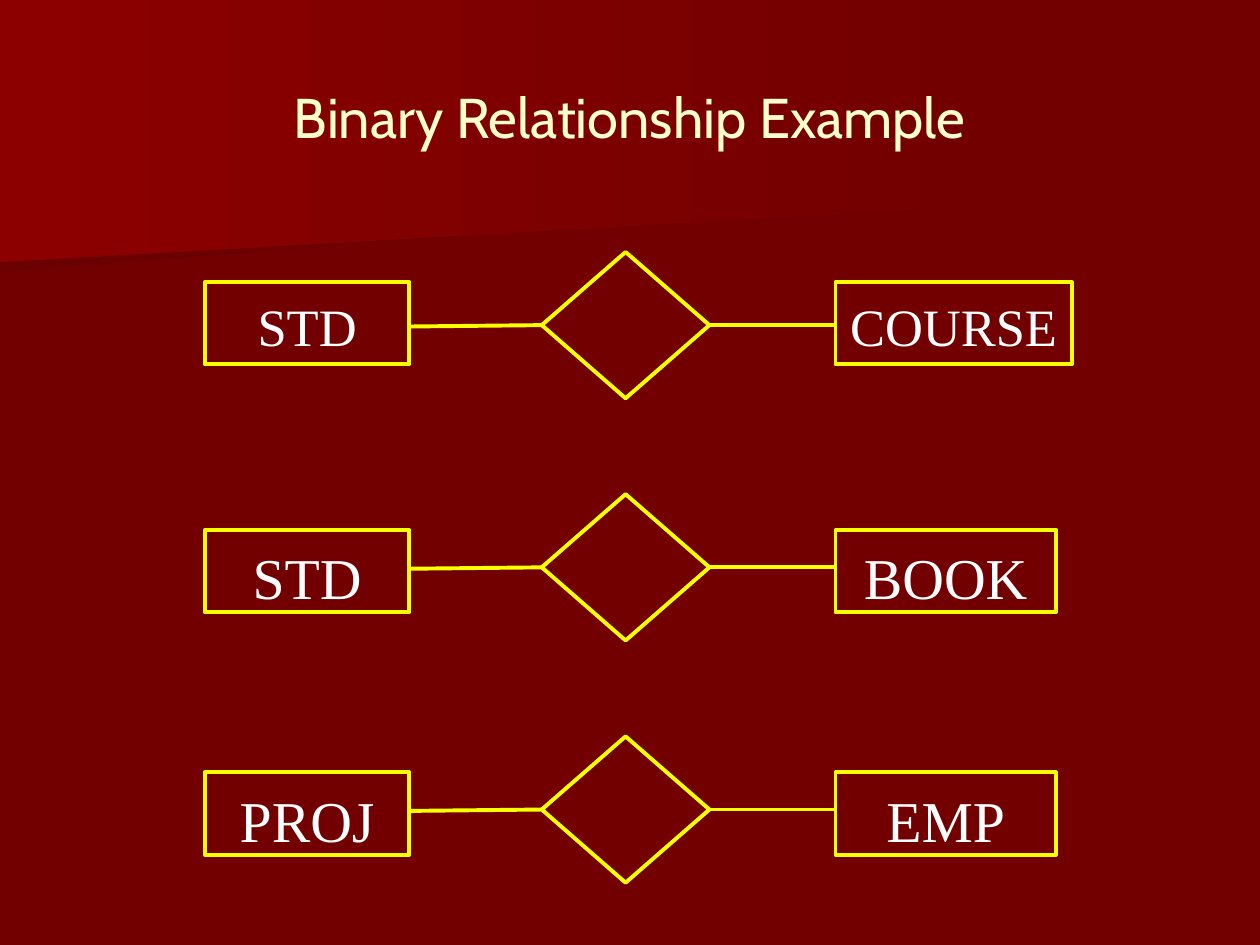
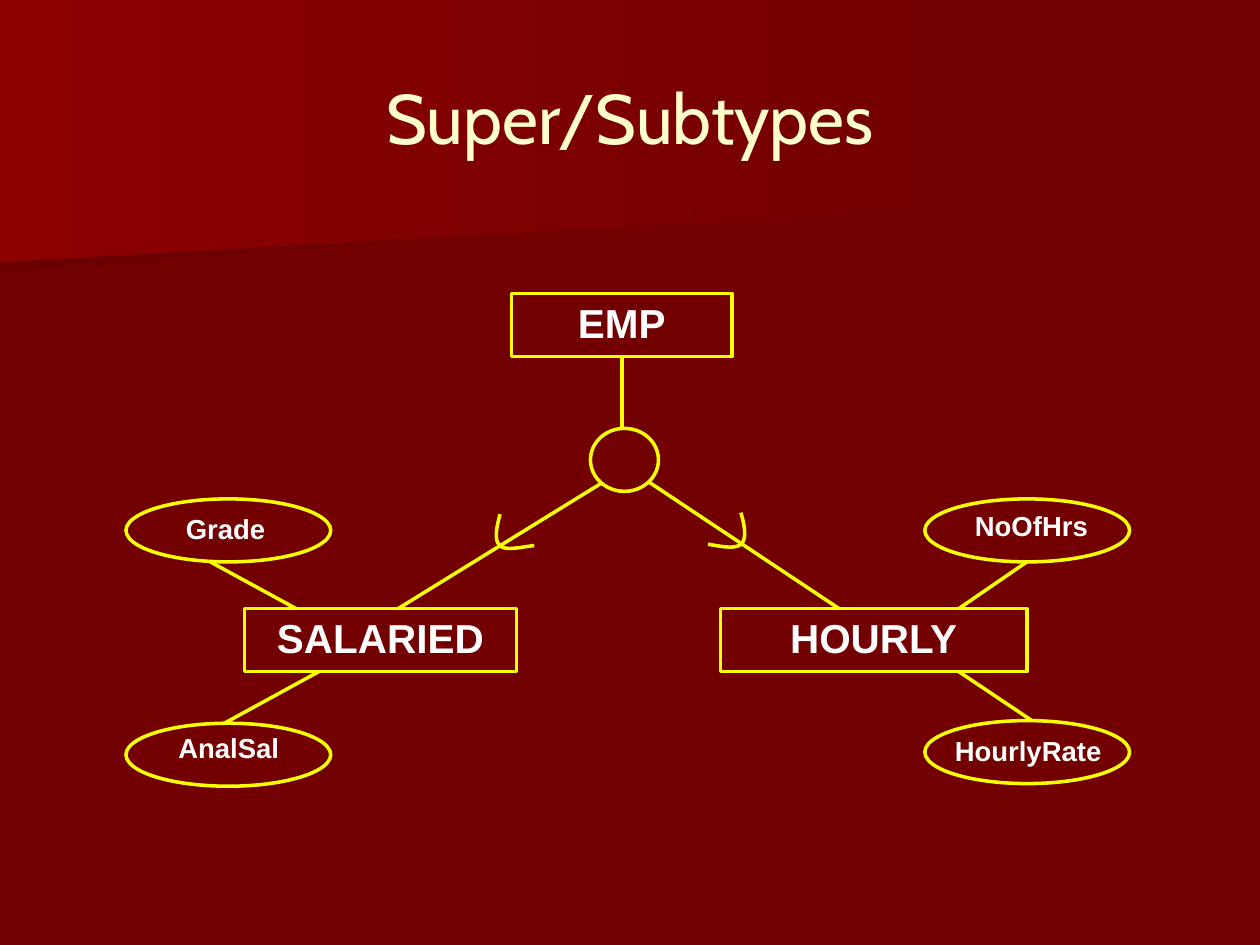
from lxml.etree import SubElement
from pptx import Presentation
from pptx.dml.color import RGBColor
from pptx.enum.shapes import MSO_CONNECTOR as Connector, MSO_SHAPE as Shape
from pptx.enum.text import MSO_ANCHOR as Anchor, PP_ALIGN as Align
from pptx.oxml.ns import qn
from pptx.util import Pt

BACKGROUND, YELLOW, WHITE, CREAM = "720000", "FFFF00", "FFFFFF", "FFFFCC"
BANDS = [
    ("6B0000", [(560.2, 110.2), (0, 156.2), (0, 72.7), (560.9, 72.7)]),
    ("8C0000", [(570.2, 116.6), (0, 149.8), (0, 0), (570.2, 0)]),
]
TITLE_BOX = (0, 21.6, 720, 90)

BINARY_TITLE = ("Binary Relationship Example", 32)
RELATIONSHIPS = [
    {"left": "STD", "right": "COURSE", "right_width": 135, "size": 30, "drop": 17.3},
    {"left": "STD", "right": "BOOK", "right_width": 126, "size": 33, "drop": 20.6},
    {"left": "PROJ", "right": "EMP", "right_width": 126, "size": 33, "drop": 20.6},
]
FIRST_ROW, ROW_PITCH = 144, 138.4
DIAMOND_LEFT, DIAMOND_WIDTH, DIAMOND_HEIGHT = 309.6, 95.8, 83.6
LEFT_BOX, LEFT_WIDTH, RIGHT_BOX, BOX_HEIGHT = 117, 117, 477.4, 47

SUBTYPE_TITLE = ("Super/Subtypes", 40)
ENTITIES = [
    ("EMP", 292.3, 167.8, 126),
    ("SALARIED", 139.7, 347.8, 155.5),
    ("HOURLY", 411.8, 347.8, 175),
]
SUBTYPE_CIRCLE = (337.4, 244.8, 38.9, 36)
ATTRIBUTES = [
    ("Grade", (72, 285.1), (90, 290.2, 77.8)),
    ("AnalSal", (72, 413.3), (82.1, 415.4, 97.2)),
    ("HourlyRate", (528.5, 411.8), (529.2, 416.9, 116.6)),
    ("NoOfHrs", (528.5, 285.1), (545.8, 288.7, 87.1)),
]
ENTITY_HEIGHT, ATTRIBUTE_WIDTH, LABEL_HEIGHT = 36, 117, 26.6
SUBTYPE_LINES = [
    (355.5, 203.8, 355.5, 244.8),
    (344.2, 275.8, 227.5, 347.8),
    (370.1, 275, 479.5, 347.8),
    (120.2, 321.1, 169.2, 347.8),
    (128.2, 413.3, 182.2, 383.8),
    (586.8, 321.1, 547.9, 347.8),
    (547.9, 383.8, 589.7, 411.8),
]
HOOKS = [
    [(285.8, 293.8), (283.7, 301.7), (282.2, 308.9), (285.8, 311.8),
     (288.7, 315.4), (301.7, 311.8), (305.3, 311.8)],
    [(423.4, 293), (425.5, 300.2), (427, 308.2), (423.4, 311),
     (420.5, 313.9), (412.6, 312.5), (404.6, 311)],
]
CURVE_STEPS = 10


def color(value):
    return RGBColor.from_string(value)


def points(values):
    return [Pt(value) for value in values]


def write(shape, text, size, name="Arial", bold=False, ink=WHITE, spacing=1.0,
          top=3.6, anchor=Anchor.TOP):
    frame = shape.text_frame
    frame_format = {"word_wrap": False, "vertical_anchor": anchor,
                    "margin_left": Pt(7.2), "margin_right": Pt(7.2),
                    "margin_top": Pt(top), "margin_bottom": Pt(3.6)}
    for key, value in frame_format.items():
        setattr(frame, key, value)
    paragraph = frame.paragraphs[0]
    paragraph.text = text
    paragraph_format = {"alignment": Align.CENTER, "line_spacing": spacing}
    for key, value in paragraph_format.items():
        setattr(paragraph, key, value)
    font_format = {"size": Pt(size), "name": name, "bold": bold}
    for key, value in font_format.items():
        setattr(paragraph.font, key, value)
    paragraph.font.color.rgb = color(ink)


def draw_line(shape, width):
    shape.line.color.rgb = color(YELLOW)
    shape.line.width = Pt(width)


def outline(slide, kind, box, width):
    shape = slide.shapes.add_shape(kind, *points(box))
    shape.shadow.inherit = False
    shape.fill.background()
    draw_line(shape, width)
    return shape


def connect(slide, ends, width):
    connector = slide.shapes.add_connector(Connector.STRAIGHT, *points(ends))
    draw_line(connector, width)
    SubElement(connector._element.spPr, qn("a:effectLst"))


def freeform(slide, vertices, close):
    start, *rest = [points(vertex) for vertex in vertices]
    builder = slide.shapes.build_freeform(*start)
    builder.add_line_segments(rest, close=close)
    shape = builder.convert_to_shape()
    shape.shadow.inherit = False
    return shape


def curve(controls):
    vertices = [controls[0]]
    for first in range(0, len(controls) - 1, 3):
        segment = controls[first:first + 4]
        for step in range(1, CURVE_STEPS + 1):
            t = step / CURVE_STEPS
            weights = ((1 - t) ** 3, 3 * t * (1 - t) ** 2, 3 * t * t * (1 - t), t ** 3)
            vertices.append(tuple(sum(w * p[axis] for w, p in zip(weights, segment))
                                  for axis in (0, 1)))
    return vertices


def add_slide(presentation, title, size):
    slide = presentation.slides.add_slide(presentation.slide_layouts[6])
    for start, vertices in BANDS:
        band = freeform(slide, vertices, True)
        band.line.fill.background()
        band.fill.gradient()
        band.fill.gradient_angle = 0
        for stop, position, shade in zip(band.fill.gradient_stops, (0, 1), (start, BACKGROUND)):
            stop.position = position
            stop.color.rgb = color(shade)
    title_box = slide.shapes.add_textbox(*points(TITLE_BOX))
    write(title_box, title, size, "Cabin", ink=CREAM, anchor=Anchor.MIDDLE)
    return slide


def build_binary(presentation):
    slide = add_slide(presentation, *BINARY_TITLE)
    diamond_right = DIAMOND_LEFT + DIAMOND_WIDTH
    for index, row in enumerate(RELATIONSHIPS):
        top = FIRST_ROW + index * ROW_PITCH
        middle = top + DIAMOND_HEIGHT / 2
        outline(slide, Shape.DIAMOND, (DIAMOND_LEFT, top, DIAMOND_WIDTH, DIAMOND_HEIGHT), 2.25)
        for text, left, width in ((row["left"], LEFT_BOX, LEFT_WIDTH),
                                  (row["right"], RIGHT_BOX, row["right_width"])):
            box = outline(slide, Shape.RECTANGLE,
                          (left, top + row["drop"], width, BOX_HEIGHT), 2.25)
            write(box, text, row["size"], "Times New Roman", top=6.8)
        connect(slide, (LEFT_BOX + LEFT_WIDTH, middle + 0.8, DIAMOND_LEFT, middle), 2.25)
        connect(slide, (diamond_right, middle, RIGHT_BOX, middle), 2.25)


def build_subtypes(presentation):
    slide = add_slide(presentation, *SUBTYPE_TITLE)
    for text, left, top, width in ENTITIES:
        box = outline(slide, Shape.RECTANGLE, (left, top, width, ENTITY_HEIGHT), 2)
        write(box, text, 23.1, bold=True, spacing=0.9, top=5.6)
    outline(slide, Shape.OVAL, SUBTYPE_CIRCLE, 2)
    for ends in SUBTYPE_LINES:
        connect(slide, ends, 2)
    for controls in HOOKS:
        hook = freeform(slide, curve(controls), False)
        hook.fill.background()
        draw_line(hook, 2)
    for text, corner, label in ATTRIBUTES:
        outline(slide, Shape.OVAL, (*corner, ATTRIBUTE_WIDTH, ENTITY_HEIGHT), 2)
        label_box = slide.shapes.add_textbox(*points((*label, LABEL_HEIGHT)))
        write(label_box, text, 15.7, bold=True, spacing=0.9, top=4.6)


def main():
    presentation = Presentation()
    presentation.slide_width, presentation.slide_height = Pt(720), Pt(540)
    background = presentation.slide_master.background.fill
    background.solid()
    background.fore_color.rgb = color(BACKGROUND)
    build_binary(presentation)
    build_subtypes(presentation)
    presentation.save("out.pptx")


if __name__ == "__main__":
    main()
